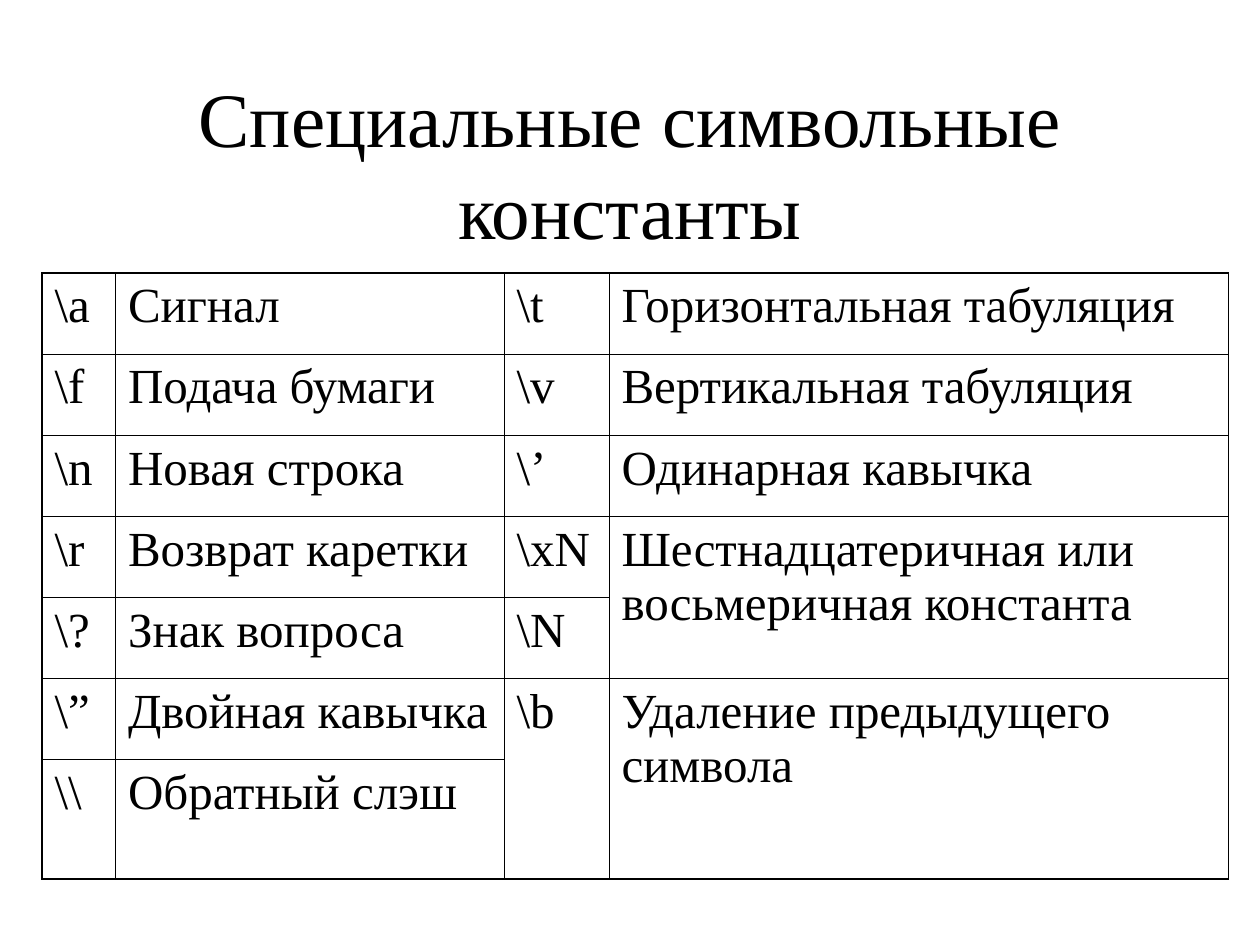
"""Builds a slide with a table of special character constants."""
import pptx
import pptx.dml.color
import pptx.enum.text
import pptx.oxml
import pptx.oxml.ns
import pptx.util

Pt = pptx.util.Pt

ROWS = [
    [r"\a", "Сигнал", r"\t", "Горизонтальная табуляция"],
    [r"\f", "Подача бумаги", r"\v", "Вертикальная табуляция"],
    [r"\n", "Новая строка", r"\’", "Одинарная кавычка"],
    [r"\r", "Возврат каретки", r"\хN", "Шестнадцатеричная или восьмеричная константа"],
    [r"\?", "Знак вопроса", r"\N", ""],
    [r"\”", "Двойная кавычка", r"\b", "Удаление предыдущего символа"],
    [r"\\", "Обратный слэш", "", ""],
]
MERGES = [((3, 3), (4, 3)), ((5, 2), (6, 2)), ((5, 3), (6, 3))]
COL_WIDTHS = [42, 222, 60, 354]
ROW_HEIGHTS = [46.3] * 6 + [68.4]


def rgb(value):
    return pptx.dml.color.RGBColor.from_string(value)


class SlideBuilder:
    font = "Times New Roman"
    color = "000000"
    inner, outer = 0.45, 1.08

    def __init__(self, s):
        self.s = s

    def run(self, p, text, size):
        r = p.add_run()
        r.text = text
        r.font.name = self.font
        r.font.size = Pt(size)
        r.font.color.rgb = rgb(self.color)

    def title(self, text, x, y, w, h, size):
        sp = self.s.shapes.title
        sp.left, sp.top, sp.width, sp.height = Pt(x), Pt(y), Pt(w), Pt(h)
        tf = sp.text_frame
        tf.word_wrap = True
        tf.auto_size = pptx.enum.text.MSO_AUTO_SIZE.NONE
        tf.vertical_anchor = pptx.enum.text.MSO_ANCHOR.MIDDLE
        p = tf.paragraphs[0]
        p.alignment = pptx.enum.text.PP_ALIGN.CENTER
        self.run(p, text, size)

    def border(self, cell, edge, width):
        cell._tc.get_or_add_tcPr().append(pptx.oxml.parse_xml(
            f'<a:ln{edge} {pptx.oxml.ns.nsdecls("a")} w="{int(Pt(width))}">'
            f'<a:solidFill><a:srgbClr val="{self.color}"/></a:solidFill></a:ln{edge}>'))

    def table(self, rows, merges, x, y, widths, heights, size):
        last_row, last_col = len(heights) - 1, len(widths) - 1
        tbl = self.s.shapes.add_table(len(heights), len(widths), Pt(x), Pt(y),
                                      Pt(sum(widths)), Pt(sum(heights))).table
        tbl.first_row = tbl.horz_banding = False
        for column, width in zip(tbl.columns, widths):
            column.width = Pt(width)
        for row, height in zip(tbl.rows, heights):
            row.height = Pt(height)
        for first, last in merges:
            tbl.cell(*first).merge(tbl.cell(*last))
        for i, texts in enumerate(rows):
            for j, text in enumerate(texts):
                cell = tbl.cell(i, j)
                bottom = i + (cell.span_height if cell.is_merge_origin else 1) - 1
                on_edge = {"L": j == 0, "R": j == last_col,
                           "T": i == 0, "B": bottom == last_row}
                for edge, is_outer in on_edge.items():
                    if not (cell.is_spanned and edge == "T"):
                        self.border(cell, edge, self.outer if is_outer else self.inner)
                cell.fill.background()
                if text:
                    self.run(cell.text_frame.paragraphs[0], text, size)


def main():
    prs = pptx.Presentation()
    prs.slide_width, prs.slide_height = Pt(720), Pt(540)
    builder = SlideBuilder(prs.slides.add_slide(prs.slide_layouts[5]))
    builder.title("Специальные символьные константы", 54, 48, 612, 90, 44)
    builder.table(ROWS, MERGES, 24, 156, COL_WIDTHS, ROW_HEIGHTS, 28)
    prs.save("out.pptx")


if __name__ == "__main__":
    main()
